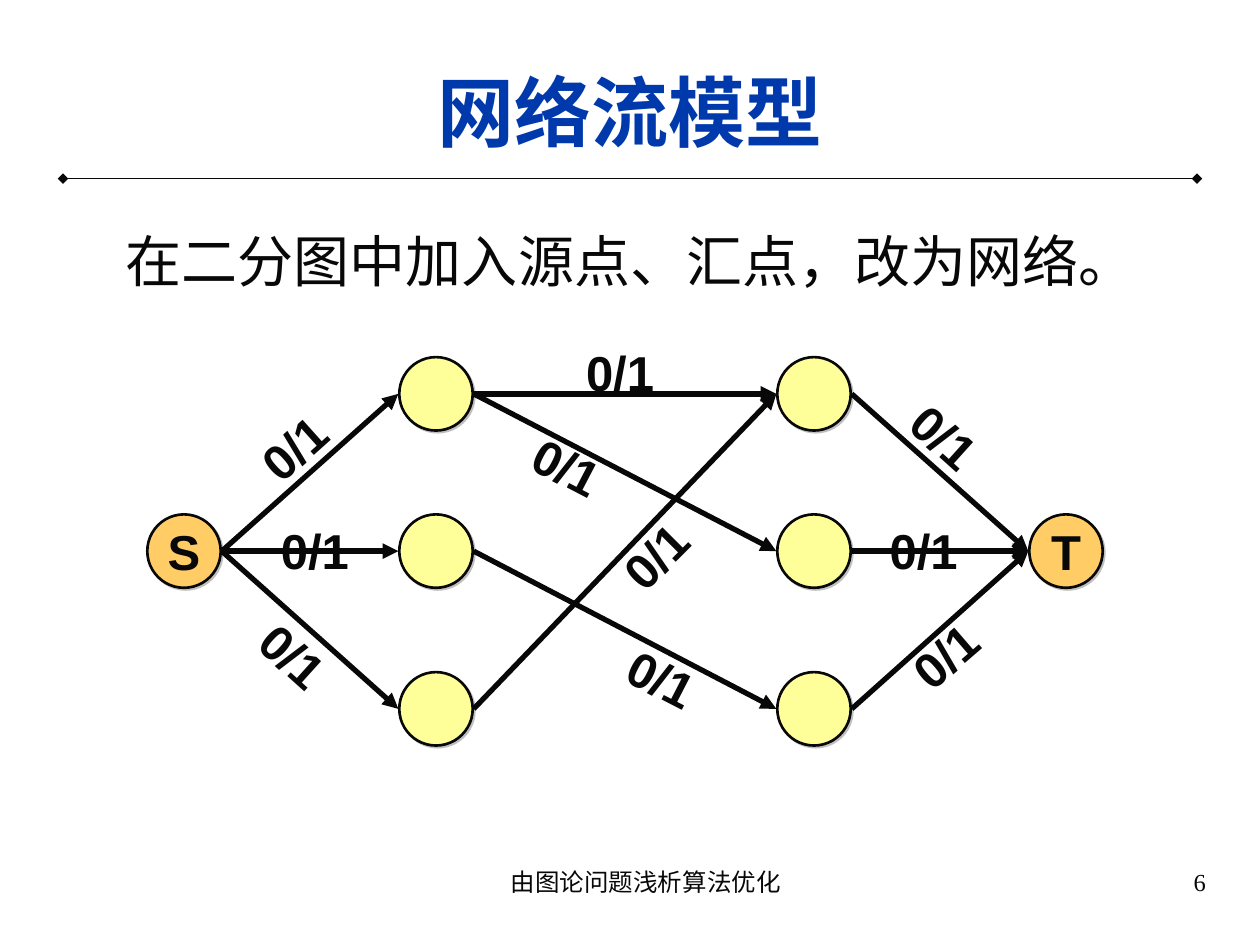
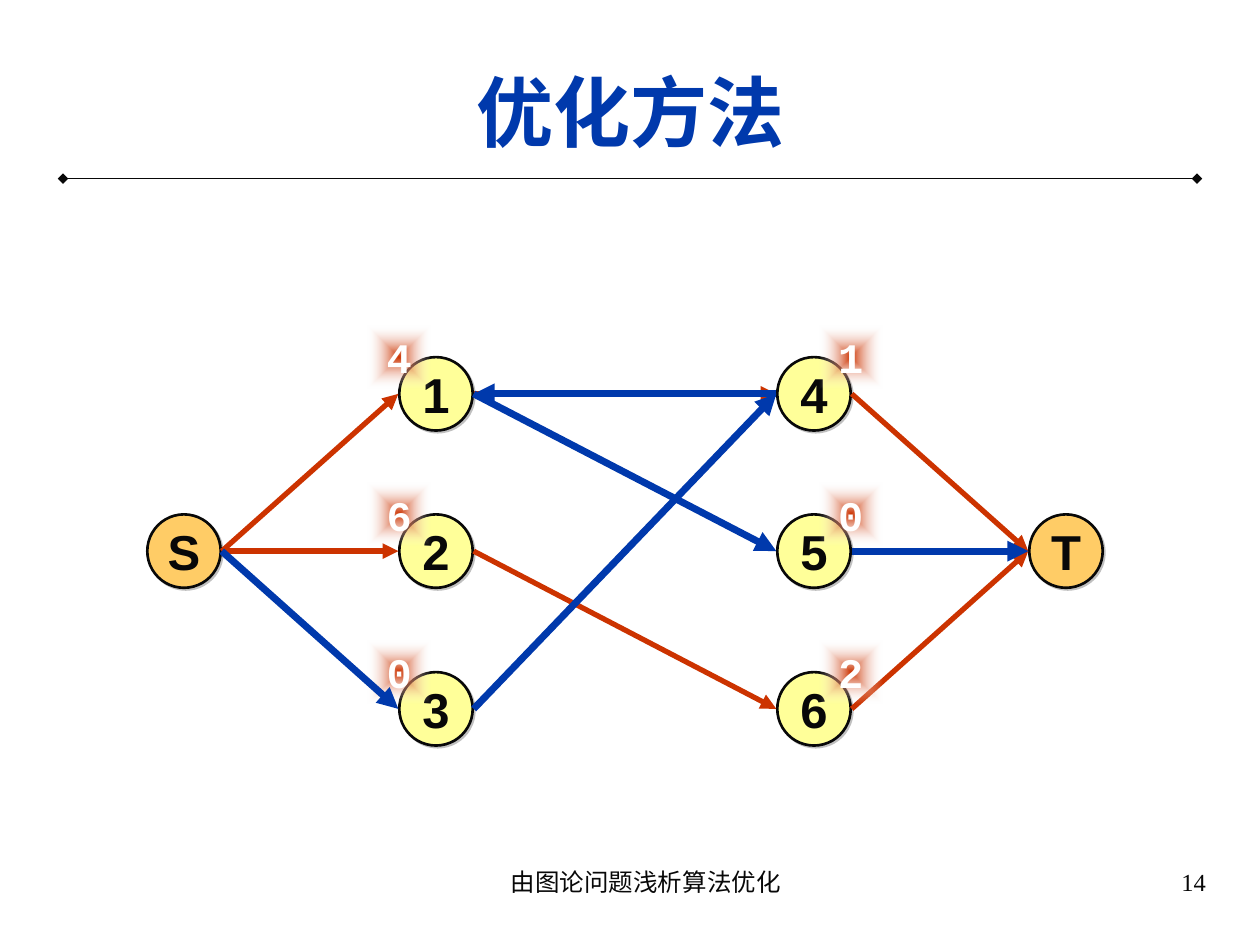
from pptx import Presentation, util as u
from pptx.dml.color import RGBColor
from pptx.enum import shapes, text
from pptx.oxml import parse_xml
from pptx.oxml.ns import nsdecls

COLOURS = {"ink": "080808", "blue": "0039AC", "red": "CC3300", "white": "FFFFFF",
           "yellow": "FFFF99", "orange": "FFCC66", "shadow": "C0C0C0", "fade": "FEFEFE"}
RADIUS = 0.74
ARROW_GAP = 0.76
BADGE_SIZE = 1.27
LABEL_WIDTH, LABEL_HEIGHT = 2.54, 1.45

# Node centres in cm
ROWS = [7.94, 11.11, 14.29]
NODES = {"S": (3.71, ROWS[1]), "T": (21.49, ROWS[1])}
for row, y in enumerate(ROWS):
    NODES[str(row + 1)] = (8.79, y)
    NODES[str(row + 4)] = (16.41, y)

# Edges as pairs of node names
EDGES = ["14", "15", "26", "34", "S1", "S2", "S3", "4T", "5T", "6T"]
AUGMENTING_PATH = ["S3", "34", "41", "15", "5T"]

# Flow labels: centre x, centre y, rotation
FLOW_LABELS = [(12.5, 7.51, 0), (11.43, 9.41, 27.5), (13.34, 13.68, 27.2),
               (13.21, 11.21, -45.1), (5.92, 9.03, -41.8), (6.35, 11.09, 0),
               (5.92, 13.22, 42.1), (19.05, 8.8, 42), (18.62, 11.09, 0),
               (19.05, 13.22, -40.8)]
BADGES = {"1": "4", "2": "6", "3": "0", "4": "1", "5": "0", "6": "2"}


def write(shape, words, size=28, font="Arial", colour="ink", bold=False,
          align="CENTER", anchor="TOP", wrap=True, left_margin=0.25):
    frame = shape.text_frame
    frame.auto_size = text.MSO_AUTO_SIZE.NONE
    frame.word_wrap = wrap
    frame.vertical_anchor = text.MSO_ANCHOR[anchor]
    frame.margin_left = u.Cm(left_margin)
    para = frame.paragraphs[0]
    para.alignment = text.PP_ALIGN[align]
    span = para.add_run()
    span.text = words
    span.font.size = u.Pt(size)
    span.font.name = font
    span.font.bold = bold
    span.font.color.rgb = RGBColor.from_string(COLOURS[colour])


def connect(page, start, end, colour="ink", width=3, head="none", tail="triangle"):
    line = page.shapes.add_connector(shapes.MSO_CONNECTOR.STRAIGHT,
                                     *[u.Cm(value) for value in (*start, *end)])
    line.line.width = u.Pt(width)
    line.line.color.rgb = RGBColor.from_string(COLOURS[colour])
    stroke = line.line._get_or_add_ln()
    for tag, kind in (("headEnd", head), ("tailEnd", tail)):
        stroke.append(parse_xml(f'<a:{tag} {nsdecls("a")} type="{kind}"/>'))
    line.element.spPr.append(parse_xml(f'<a:effectLst {nsdecls("a")}/>'))
    return line


deck = Presentation()
deck.slide_width, deck.slide_height = u.Cm(25.4), u.Cm(19.05)
layout = deck.slide_layouts[5]
pages = []

# Shared parts: title, footer, page number and nodes
for title, number, numbered in [("网络流模型", "6", False), ("优化方法", "14", True)]:
    page = deck.slides.add_slide(layout)
    pages.append(page)

    heading = page.shapes.title
    heading.left, heading.top = u.Cm(0.85), u.Cm(0.64)
    heading.width, heading.height = u.Cm(23.72), u.Cm(3.18)
    write(heading, title, size=44, colour="blue", bold=True, anchor="MIDDLE")

    for left, width, words, align in [(8.69, 8.05, "由图论问题浅析算法优化", "CENTER"),
                                      (18.21, 6.35, number, "RIGHT")]:
        box = page.shapes.add_textbox(u.Cm(left), u.Cm(17.35), u.Cm(width), u.Cm(1.32))
        write(box, words, size=14, font="Times New Roman", align=align, left_margin=0.86)

    for name, (x, y) in NODES.items():
        terminal = name in "ST"
        node = page.shapes.add_shape(
            shapes.MSO_SHAPE.FLOWCHART_CONNECTOR, u.Cm(x - RADIUS), u.Cm(y - RADIUS),
            u.Cm(2 * RADIUS), u.Cm(2 * RADIUS))
        node.fill.solid()
        node.fill.fore_color.rgb = RGBColor.from_string(
            COLOURS["orange" if terminal else "yellow"])
        node.line.color.rgb = RGBColor.from_string(COLOURS["ink"])
        node.line.width = u.Pt(1.5)
        node.shadow.inherit = False
        node.element.spPr[-1].append(parse_xml(
            f'<a:outerShdw {nsdecls("a")} dist="{u.Pt(1.4)}" dir="2700000" algn="ctr" '
            f'rotWithShape="0"><a:srgbClr val="{COLOURS["shadow"]}"/></a:outerShdw>'))
        if terminal or numbered:
            write(node, name, bold=True, anchor="MIDDLE", wrap=False)

# Rule under the title, kept on the layout
rule = connect(pages[0], (1.27, 3.6), (24.13, 3.6), width=1, head="diamond", tail="diamond")
layout.shapes.element.append(rule.element)

# Edges: all black on the first page; red, then the blue path on the second
model, method = pages
red_edges = [edge for edge in EDGES if edge not in AUGMENTING_PATH]
for page, edges, colour, width in [(model, EDGES, "ink", 3), (method, red_edges, "red", 3),
                                   (method, AUGMENTING_PATH, "blue", 4)]:
    # Distance badges, below the blue path
    if colour == "blue":
        for name, distance in BADGES.items():
            x, y = NODES[name]
            x += -RADIUS if name in "123" else RADIUS
            badge = page.shapes.add_shape(
                shapes.MSO_SHAPE.RECTANGLE, u.Cm(x - BADGE_SIZE / 2),
                u.Cm(y - RADIUS - BADGE_SIZE / 2), u.Cm(BADGE_SIZE), u.Cm(BADGE_SIZE))
            badge.shadow.inherit = False
            badge.line.fill.background()
            badge.element.spPr.insert(2, parse_xml(
                f'<a:gradFill {nsdecls("a")} rotWithShape="1"><a:gsLst>'
                f'<a:gs pos="0"><a:srgbClr val="{COLOURS["red"]}"/></a:gs>'
                f'<a:gs pos="100000"><a:srgbClr val="{COLOURS["fade"]}">'
                '<a:alpha val="0"/></a:srgbClr></a:gs></a:gsLst><a:path path="rect">'
                '<a:fillToRect l="50000" t="50000" r="50000" b="50000"/></a:path>'
                '</a:gradFill>'))
            write(badge, distance, size=24, font="Courier New", colour="white", bold=True,
                  anchor="MIDDLE", wrap=False)

    for source, target in edges:
        (x1, y1), (x2, y2) = NODES[source], NODES[target]
        gap = ARROW_GAP if x2 > x1 else -ARROW_GAP
        connect(page, (x1 + gap, y1), (x2 - gap, y2), colour, width)

# Flow labels and statement on the first page
for x, y, angle in FLOW_LABELS:
    label = model.shapes.add_textbox(u.Cm(x - LABEL_WIDTH / 2), u.Cm(y - LABEL_HEIGHT / 2),
                                     u.Cm(LABEL_WIDTH), u.Cm(LABEL_HEIGHT))
    label.rotation = angle
    write(label, "0/1", bold=True)

statement = model.shapes.add_textbox(u.Cm(0.85), u.Cm(4.45), u.Cm(23.72), u.Cm(1.7))
write(statement, "在二分图中加入源点、汇点，改为网络。", size=32)

deck.save("out.pptx")
